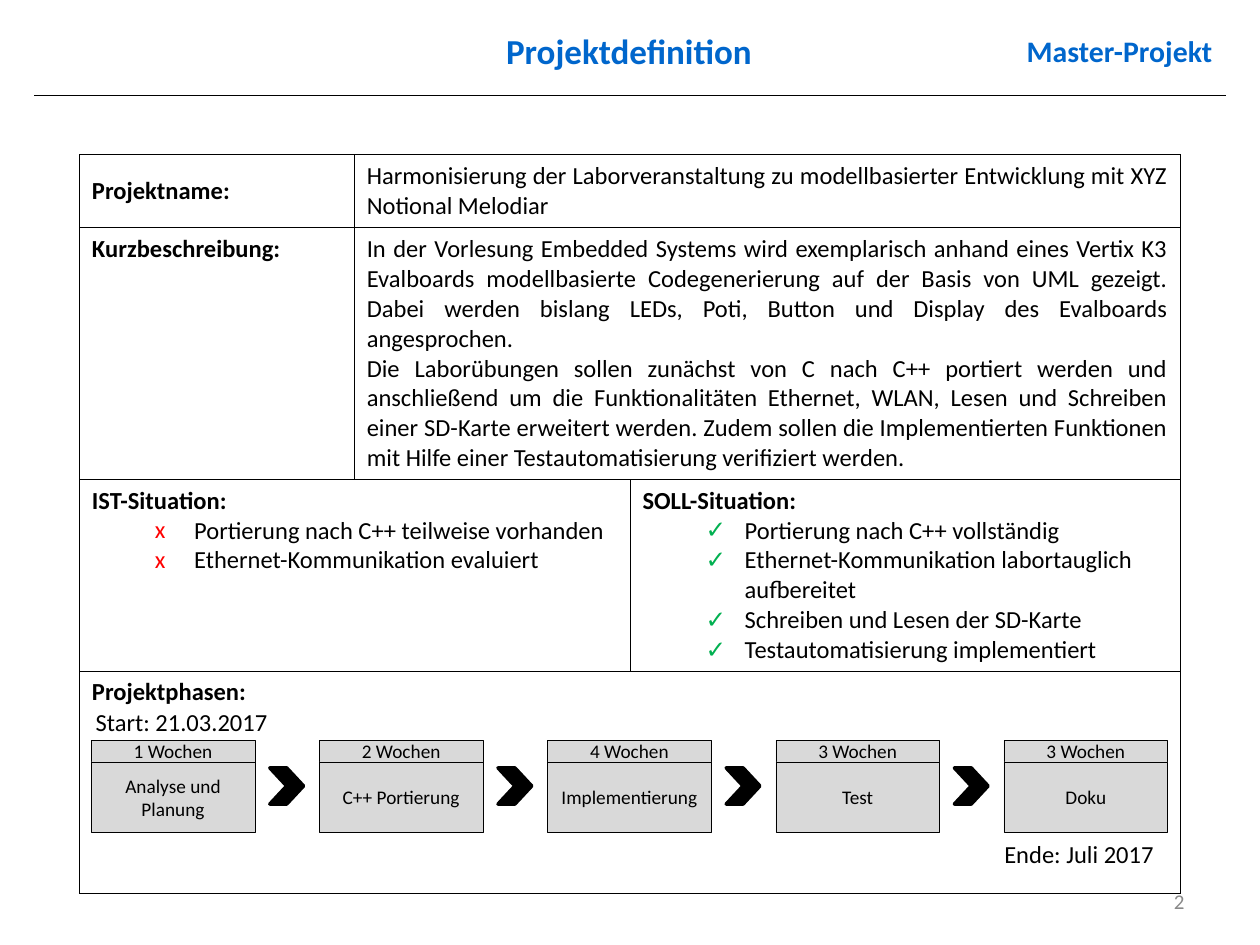
from lxml.etree import SubElement
from pptx import Presentation
from pptx.dml.color import RGBColor
from pptx.enum.shapes import MSO_CONNECTOR, MSO_SHAPE
from pptx.enum.text import MSO_ANCHOR, PP_ALIGN
from pptx.oxml.ns import qn
from pptx.util import Cm, Pt


def colour(hex_text):
    return RGBColor.from_string(hex_text)


def add_run(paragraph, text, size, hex_text="000000", bold=False):
    run = paragraph.add_run()
    run.text = text
    run.font.name = "Calibri"
    run.font.size = Pt(size)
    run.font.bold = bold
    run.font.color.rgb = colour(hex_text)


presentation = Presentation()
presentation.slide_width = Cm(25.4)
presentation.slide_height = Cm(19.05)
slide = presentation.slides.add_slide(presentation.slide_layouts[6])

# Header rule
rule = slide.shapes.add_connector(MSO_CONNECTOR.STRAIGHT, Cm(0.69), Cm(1.93), Cm(24.71), Cm(1.93))
rule.line.color.rgb = colour("000000")
rule.line.width = Pt(0.75)
SubElement(rule._element.spPr, qn("a:effectLst"))

# Project table: (row, column, last column, anchor, label, body, bullet)
TOP, MIDDLE = MSO_ANCHOR.TOP, MSO_ANCHOR.MIDDLE
cells = [
    (0, 0, 0, MIDDLE, "Projektname:", [], None),
    (0, 1, 2, MIDDLE, None, [
        "Harmonisierung der Laborveranstaltung zu modellbasierter Entwicklung mit "
        "XYZ Notional Melodiar"], None),
    (1, 0, 0, TOP, "Kurzbeschreibung:", [], None),
    (1, 1, 2, MIDDLE, None, [
        "In der Vorlesung Embedded Systems wird exemplarisch anhand eines Vertix K3 "
        "Evalboards modellbasierte Codegenerierung auf der Basis von UML gezeigt. "
        "Dabei werden bislang LEDs, Poti, Button und Display des Evalboards angesprochen.",
        "Die Laborübungen sollen zunächst von C nach C++ portiert werden und "
        "anschließend um die Funktionalitäten Ethernet, WLAN, Lesen und Schreiben "
        "einer SD-Karte erweitert werden. Zudem sollen die Implementierten Funktionen "
        "mit Hilfe einer Testautomatisierung verifiziert werden."], None),
    (2, 0, 1, TOP, "IST-Situation:", [
        "Portierung nach C++ teilweise vorhanden",
        "Ethernet-Kommunikation evaluiert"], ("x", "FF0000")),
    (2, 2, 2, TOP, "SOLL-Situation:", [
        "Portierung nach C++ vollständig",
        "Ethernet-Kommunikation labortauglich aufbereitet",
        "Schreiben und Lesen der SD-Karte",
        "Testautomatisierung implementiert"], ("✓", "00B050")),
    (3, 0, 2, TOP, "Projektphasen:", [], None),
]
column_widths = [5.54, 5.56, 11.1]
row_heights = [1.47, 5.08, 3.86, 4.47]
frame = slide.shapes.add_table(4, 3, Cm(1.6), Cm(3.12), Cm(sum(column_widths)), Cm(sum(row_heights)))
table = frame.table
table.first_row = False
table.horz_banding = False
for column, width in zip(table.columns, column_widths):
    column.width = Cm(width)
for row, height in zip(table.rows, row_heights):
    row.height = Cm(height)

# Thin black borders, no fill
for cell in table.iter_cells():
    properties = cell._tc.get_or_add_tcPr()
    for side in ("a:lnL", "a:lnR", "a:lnT", "a:lnB"):
        border = SubElement(properties, qn(side), w=str(Pt(0.45)))
        border_fill = SubElement(border, qn("a:solidFill"))
        SubElement(border_fill, qn("a:srgbClr"), val="000000")
    cell.fill.background()

for row, first, last, anchor, label, body, bullet in cells:
    cell = table.cell(row, first)
    if last > first:
        cell.merge(table.cell(row, last))
    cell.vertical_anchor = anchor
    lines = ([label] if label else []) + body
    for index, line in enumerate(lines):
        text_frame = cell.text_frame
        paragraph = text_frame.add_paragraph() if index else text_frame.paragraphs[0]
        add_run(paragraph, line, 14, bold=line == label)
        if line == label:
            continue
        if bullet is None:
            paragraph.alignment = PP_ALIGN.JUSTIFY
            continue
        symbol, bullet_colour = bullet
        paragraph.level = 1
        properties = paragraph._p.get_or_add_pPr()
        properties.set("marL", str(Cm(2.06)))
        properties.set("indent", str(Cm(-0.79)))
        bullet_fill = SubElement(properties, qn("a:buClr"))
        SubElement(bullet_fill, qn("a:srgbClr"), val=bullet_colour)
        SubElement(properties, qn("a:buFont"), typeface="Calibri")
        SubElement(properties, qn("a:buChar"), char=symbol)

# Project phases: duration strip above the task box, chevrons between
phases = [
    ("1 Wochen", "Analyse und Planung"),
    ("2 Wochen", "C++ Portierung"),
    ("4 Wochen", "Implementierung"),
    ("3 Wochen", "Test"),
    ("3 Wochen", "Doku"),
]
phase_left, phase_pitch = 1.84, 4.6
for index, (duration, task) in enumerate(phases):
    left = phase_left + index * phase_pitch
    group = slide.shapes.add_group_shape()
    for text, top, height in ((duration, 14.92, 0.44), (task, 15.36, 1.42)):
        box = group.shapes.add_shape(MSO_SHAPE.RECTANGLE, Cm(left), Cm(top), Cm(3.3), Cm(height))
        box.shadow.inherit = False
        box.fill.solid()
        box.fill.fore_color.rgb = colour("D9D9D9")
        box.line.color.rgb = colour("000000")
        box.line.width = Pt(0.25)
        text_frame = box.text_frame
        text_frame.word_wrap = True
        text_frame.vertical_anchor = MIDDLE
        paragraph = text_frame.paragraphs[0]
        paragraph.alignment = PP_ALIGN.CENTER
        add_run(paragraph, text, 11)
    if index < len(phases) - 1:
        chevron = slide.shapes.add_shape(MSO_SHAPE.CHEVRON, Cm(left + 3.6), Cm(15.48), Cm(0.68), Cm(0.73))
        chevron.shadow.inherit = False
        chevron.fill.solid()
        chevron.fill.fore_color.rgb = colour("000000")
        chevron.line.color.rgb = colour("000000")
        chevron.line.width = Pt(2)

# Title, project type, dates and page number
LEFT, CENTER, RIGHT = PP_ALIGN.LEFT, PP_ALIGN.CENTER, PP_ALIGN.RIGHT
labels = [
    ("Projektdefinition", 5.38, 0.51, 14.6, 1.02, CENTER, MIDDLE, 0.25, 20, "0066CC", True),
    ("Master-Projekt", 20.29, 0.46, 4.4, 1.12, RIGHT, MIDDLE, 0.25, 17, "0066CC", True),
    ("Start: 21.03.2017", 1.83, 14.12, 5.66, 0.86, LEFT, TOP, 0.1, 14, "000000", False),
    ("Ende: Juli 2017", 17.7, 16.79, 5.66, 0.86, RIGHT, TOP, 0.1, 14, "000000", False),
    ("2", 18.21, 17.65, 5.92, 1.02, RIGHT, MIDDLE, 0.25, 12, "898989", False),
]
for text, left, top, width, height, alignment, anchor, inset, size, hex_text, bold in labels:
    text_box = slide.shapes.add_textbox(Cm(left), Cm(top), Cm(width), Cm(height))
    text_frame = text_box.text_frame
    text_frame.word_wrap = True
    text_frame.vertical_anchor = anchor
    text_frame.margin_left = text_frame.margin_right = Cm(inset)
    paragraph = text_frame.paragraphs[0]
    paragraph.alignment = alignment
    add_run(paragraph, text, size, hex_text, bold)

presentation.save("out.pptx")
